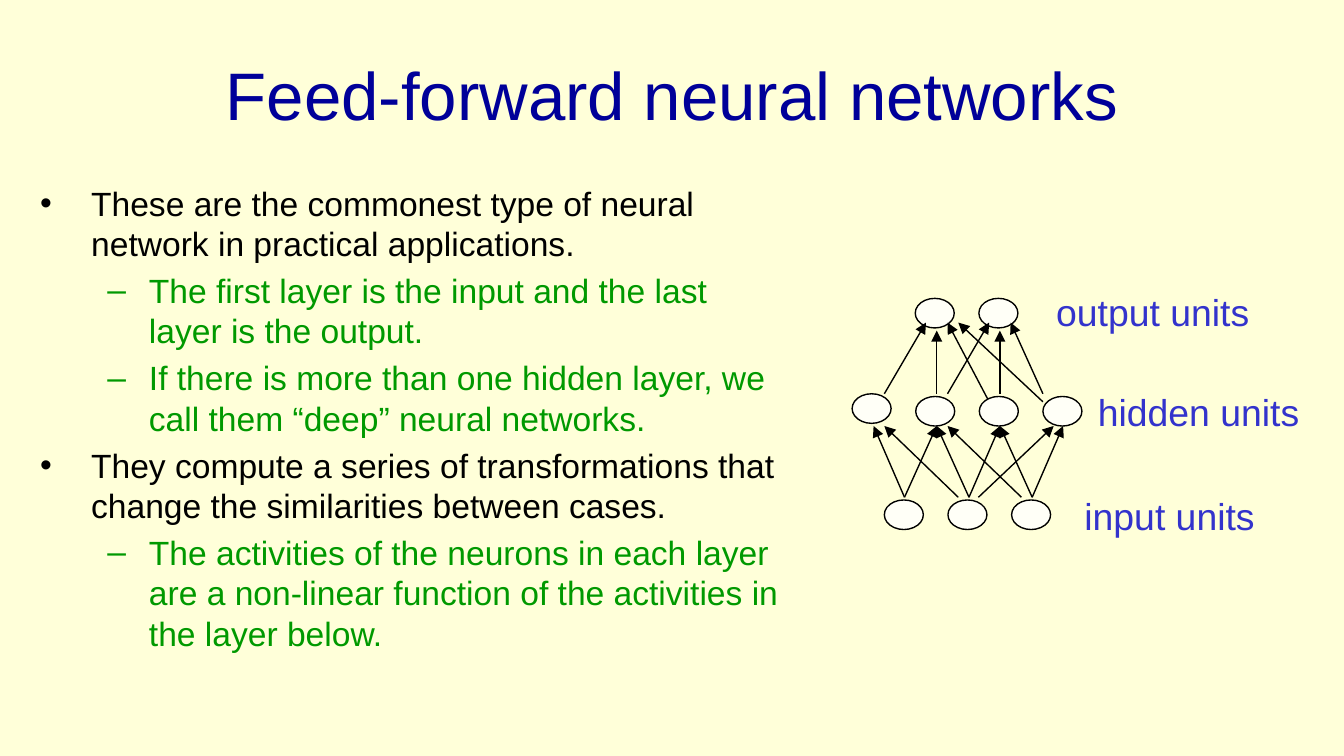
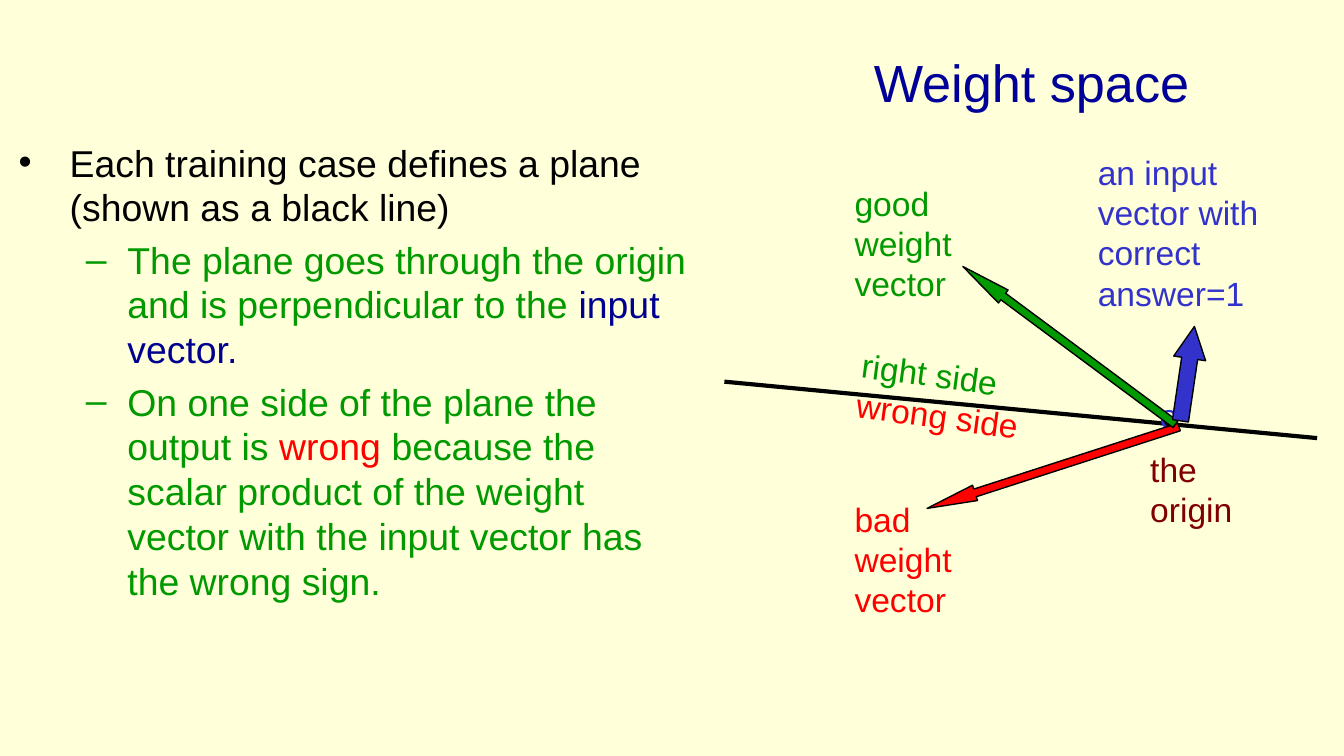
from dataclasses import dataclass

from lxml.etree import SubElement
from pptx import Presentation
from pptx.dml.color import RGBColor as RGB
from pptx.enum.shapes import MSO_CONNECTOR as Connector, MSO_SHAPE as Shape
from pptx.enum.text import MSO_ANCHOR as Anchor, MSO_AUTO_SIZE as AutoSize, PP_ALIGN as Align
from pptx.oxml.ns import qn
from pptx.util import Inches, Pt


@dataclass(frozen=True)
class Theme:
    """Colours, font and type sizes."""
    font: str = "Arial"
    paper: str = "FFFFD9"
    title: str = "000099"
    ink: str = "000000"
    green: str = "009900"
    red: str = "FF0000"
    blue: str = "3333CC"
    navy: str = "000090"
    maroon: str = "800000"
    unit: str = "FFFFF7"
    title_size: int = 36
    small_title_size: int = 28
    large: int = 20
    text: int = 18
    thin: float = 0.75
    thick: float = 2.25


T = Theme()
BULLETS = (("•", 0.38, -0.38), ("–", 0.81, -0.31))


class Deck:
    """Holds the presentation, its theme and the current slide."""

    def __init__(self):
        """Start a widescreen deck on a plain background."""
        self.prs = Presentation()
        self.prs.slide_width, self.prs.slide_height = Inches(10), Inches(10 * 9 / 16)
        fill = self.prs.slide_master.background.fill
        fill.solid()
        fill.fore_color.rgb = RGB.from_string(T.paper)

    def slide(self, title, box, size):
        """Add a slide with a centred title."""
        self.s = self.prs.slides.add_slide(self.prs.slide_layouts[5])
        sp = self.s.shapes.title
        sp.left, sp.top, sp.width, sp.height = map(Inches, box)
        tf = sp.text_frame
        tf.auto_size, tf.vertical_anchor = AutoSize.NONE, Anchor.MIDDLE
        tf.text = title
        p = tf.paragraphs[0]
        p.alignment = Align.CENTER
        self.font(p, size, T.title)

    def font(self, target, size, color):
        """Set the font of a paragraph."""
        target.font.name, target.font.size = T.font, Pt(size)
        target.font.color.rgb = RGB.from_string(color)

    def frame(self, box):
        """Add an empty wrapping text box."""
        sp = self.s.shapes.add_textbox(*map(Inches, box))
        sp.text_frame.word_wrap = True
        return sp

    def paragraphs(self, tf, count):
        """Return the first paragraph and as many new ones as needed."""
        return [tf.paragraphs[0]] + [tf.add_paragraph() for _ in range(count - 1)]

    def label(self, box, lines, size=T.text, rotation=0):
        """Add a label of (text, colour) lines."""
        sp = self.frame(box)
        sp.rotation = rotation
        for p, (text, color) in zip(self.paragraphs(sp.text_frame, len(lines)), lines):
            p.text = text
            self.font(p, size, color)

    def body(self, box, size, items):
        """Add bullets given as (level, run, run...), a run being text or (text, colour)."""
        tf = self.frame(box).text_frame
        for p, (level, *runs) in zip(self.paragraphs(tf, len(items)), items):
            p.level, p.space_before = level, Pt(size * 0.2)
            self.font(p, size, T.green if level else T.ink)
            for run in runs:
                text, color = (run, None) if isinstance(run, str) else run
                r = p.add_run()
                r.text = text
                if color:
                    r.font.color.rgb = RGB.from_string(color)
            char, margin, indent = BULLETS[level]
            pPr = p._p.get_or_add_pPr()
            pPr.set("marL", str(Inches(margin)))
            pPr.set("indent", str(Inches(indent)))
            face = pPr.makeelement(qn("a:buFont"), {"typeface": T.font})
            pPr.find(qn("a:spcBef")).addnext(face)
            face.addnext(pPr.makeelement(qn("a:buChar"), {"char": char}))

    def shape(self, kind, box, color, rotation=0):
        """Add a filled shape with a thin outline."""
        sp = self.s.shapes.add_shape(kind, *map(Inches, box))
        sp.shadow.inherit = False
        sp.rotation = rotation
        sp.fill.solid()
        sp.fill.fore_color.rgb = RGB.from_string(color)
        sp.line.color.rgb = RGB.from_string(T.ink)
        sp.line.width = Pt(T.thin)
        return sp

    def unit(self, x, y):
        """Add one neuron."""
        self.shape(Shape.OVAL, (x, y, 0.29, 0.22), T.unit)

    def vector(self, box, rotation, color, head):
        """Add a block arrow with the given head length."""
        sp = self.shape(Shape.RIGHT_ARROW, box, color, rotation)
        sp.adjustments[0], sp.adjustments[1] = 0.5, head

    def line(self, start, end, width=T.thin, arrow=True):
        """Add a straight line, with an arrowhead at its end if wanted."""
        sp = self.s.shapes.add_connector(Connector.STRAIGHT, *map(Inches, start + end))
        sp.line.color.rgb = RGB.from_string(T.ink)
        sp.line.width = Pt(width)
        if arrow:
            SubElement(sp.line._get_or_add_ln(), qn("a:tailEnd"), type="triangle")
        SubElement(sp._element.spPr, qn("a:effectLst"))


def network_slide(d):
    """Build the slide on feed-forward networks."""
    d.slide("Feed-forward neural networks", (0.5, 0.23, 9, 0.94), T.title_size)
    d.body((0.2, 1.31, 5.75, 4.31), T.text, [
        (0, "These are the commonest type of neural network in practical applications."),
        (1, "The first layer is the input and the last layer is the output."),
        (1, "If there is more than one hidden layer, we call them “deep” neural networks. "),
        (0, "They compute a series of transformations that change the similarities "
            "between cases."),
        (1, "The activities of the neurons in each layer are a non-linear function of "
            "the activities in the layer below."),
    ])
    pitch = 1.42 / 3
    for i in range(2):
        d.unit(6.81 + i * pitch, 2.22)
    upper_edges = [
        (6.58, 2.93, 6.89, 2.4), (7.05, 2.93, 7.36, 2.4), (7.76, 2.93, 7.52, 2.4),
        (7.36, 2.99, 7.05, 2.4), (7.76, 2.99, 7.13, 2.4), (7.44, 2.93, 7.44, 2.46),
        (6.97, 2.93, 6.97, 2.46),
    ]
    for x1, y1, x2, y2 in upper_edges:
        d.line((x1, y1), (x2, y2))
    for i in range(4):
        d.unit(6.34 + i * pitch, 2.95 if i else 2.93)
    for i in range(3):
        d.unit(6.58 + i * pitch, 3.72)
    lower_edges = [
        (6.73, 6.97), (7.68, 7.91), (7.68, 7.44), (7.21, 6.97), (7.6, 7.05),
        (7.13, 6.58), (6.73, 6.5), (7.21, 7.44), (7.28, 7.84),
    ]
    for x1, x2 in lower_edges:
        d.line((x1, 3.7), (x2, 3.17))
    for x, y, width, layer in [(7.76, 2.1, 1.65, "output"), (8.07, 2.85, 1.71, "hidden"),
                               (7.97, 3.62, 2.38, "input")]:
        d.label((x, y, width, 0.44), [(f"{layer} units", T.blue)], T.large)


def weight_slide(d):
    """Build the slide on weight space."""
    d.slide("Weight space", (4.52, 0.14, 6.31, 0.94), T.small_title_size)
    d.body((0.04, 0.99, 5.2, 3.85), T.large, [
        (0, "Each training case defines a plane (shown as a black line)"),
        (1, "The plane goes through the origin and is perpendicular to the ",
         ("input vector.", T.navy)),
        (1, "On one side of the plane the output is ", ("wrong ", T.red),
         "because the scalar product of the weight vector with the input vector "
         "has the wrong sign."),
    ])
    d.line((5.39, 2.84), (9.8, 3.26), T.thick, arrow=False)
    d.label((6.27, 2.61, 1.73, 1.01),
            [("right side", T.green), ("wrong side", T.red)], rotation=7.6)
    d.label((8.07, 1.08, 1.73, 1.31), [("an input vector with correct answer=1", T.blue)])
    for y, word, color in [(1.31, "good", T.green), (3.66, "bad", T.red)]:
        d.label((6.26, y, 1.25, 1.01), [(word, color), ("weight vector", color)])
    d.label((8.53, 2.89, 0.34, 0.4), [("o", T.blue)])
    d.vector((6.85, 3.42, 1.97, 0.12), 162.1, T.red, 3.12)
    d.vector((6.97, 2.51, 1.97, 0.12), 216.6, T.green, 3.12)
    d.vector((8.48, 2.66, 0.71, 0.24), 278.4, T.blue, 1)
    d.label((8.46, 3.29, 1.19, 0.71), [("the origin", T.maroon)])


deck = Deck()
network_slide(deck)
weight_slide(deck)
deck.prs.save("out.pptx")
